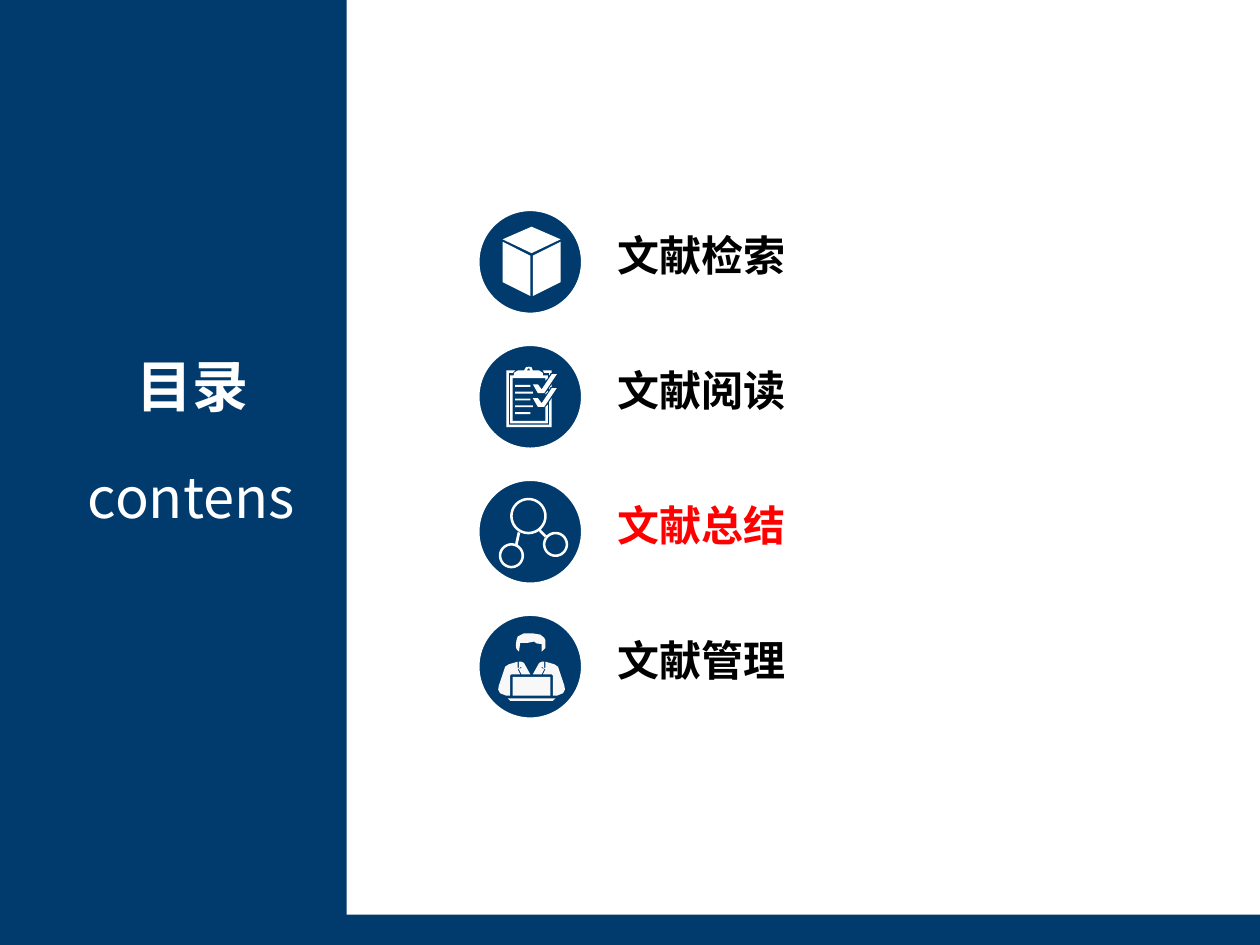
from math import cos, sin, tau

from lxml.etree import SubElement
from pptx import Presentation
from pptx.dml.color import RGBColor as Rgb
from pptx.enum.shapes import MSO_SHAPE as Kind
from pptx.enum.text import MSO_AUTO_SIZE as Fit, PP_ALIGN as Align
from pptx.oxml.ns import qn
from pptx.util import Cm, Pt

THEME = {
    "font": "Noto Sans CJK SC",
    "navy": "013B6D", "white": "FFFFFF", "pale": "F8F8F8",
    "black": "000000", "red": "FF0000",
    "head": 32, "item": 24, "line": 1,
}


def bar(left, top, right, low):
    """Return the corners of a rectangle."""
    return [(left, top), (right, top), (right, low), (left, low)]


def ring(x, y, size, count=48):
    """Return the points of a circle."""
    turns = [tau * n / count for n in range(count)]
    return [(x + size * cos(t), y + size * sin(t)) for t in turns]


def flip(part):
    """Mirror an outline across the middle of the badge."""
    return [(84 - x, y) for x, y in part]


def drop(part, step):
    """Move an outline down."""
    return [(x, y + step) for x, y in part]


SIDE = [(41, 36), (19, 25), (19, 57), (41, 68)]
CUBE = [SIDE, flip(SIDE), [(42, 13), (19, 23), (42, 34), (65, 23)]]

TICK = [(62, 23), (52, 38), (47, 38), (43, 31), (47, 31), (50, 35), (58, 23)]
BOARD = [bar(29, 31.5 + 5.4 * n, 43 if n % 2 else 41, 33 + 5.4 * n)
         for n in range(5)] + [
    [(56, 63), (24, 63), (24, 22), (27, 22), (29, 20), (22, 20), (22, 65),
     (58, 65), (58, 42), (56, 45)],
    [(53, 60), (27, 60), (27, 26), (53, 26), (53, 28), (55, 26), (55, 24),
     (25, 24), (25, 62), (55, 62), (55, 47), (53, 49)],
    [(28, 22), (31, 20), (36, 20), (37.5, 17.5), (40, 17), (42, 17.5),
     (43, 20), (48, 20), (51, 22), (51, 24), (28, 24)],
    [(38, 20), (40, 18), (41, 20)],
    [(57, 22), (58, 22), (58, 20), (51, 20), (52, 22), (56, 22), (56, 24)],
    [(56, 35), (57, 33), (58, 33), (58, 31), (56, 34)],
    [(55, 36), (53, 38), (53, 39), (55, 37)],
    TICK, drop(TICK, 11),
]

NODES = [(39.5, 28.5, 14.5), (26, 60, 10), (61, 51, 10)]
WEB = [ring(x, y, size - gap) for x, y, size in NODES for gap in (0, 2)] + [
    [(31, 41), (33, 42), (31, 51), (29, 50)],
    [(49, 39), (54, 44), (53, 46), (48, 41)],
]

ARM = [(25, 64), (22, 64), (17, 62), (15.5, 59), (16, 56), (20, 44), (21, 41),
       (24, 39), (31, 37), (31, 42), (33, 42), (31, 43), (33, 47), (26, 47),
       (25, 48)]
LAPEL = [(32, 37), (32, 42), (34, 41), (34, 42), (32, 43), (34, 47), (41, 47),
         (36, 38), (34, 37)]
HAIR = [(32, 29), (33, 22), (39, 22), (44, 21), (46, 22.5), (50, 23), (50, 29),
        (53, 26), (53, 20), (52, 18), (49, 15.5), (43, 14.5), (36, 14.5),
        (31, 17), (30, 20), (29.5, 24), (30, 27)]
USER = [ARM, flip(ARM), LAPEL, flip(LAPEL), HAIR, bar(27, 49, 57, 64),
        [(23, 66), (61, 66), (59, 68), (25, 68)]]

ITEMS = [
    ("文献检索", CUBE, "white", "black"),
    ("文献阅读", BOARD, "white", "black"),
    ("文献总结", WEB, "white", "red"),
    ("文献管理", USER, "pale", "black"),
]
HEADS = [
    ("目录", (2.49, 6.96, 2.77, 1.63), True),
    ("contens", (1.5, 9.19, 4.72, 1.63), False),
]
BANDS = [(2.36, 18.44, 23.04, 0.61), (0, 0, 6.99, 19.05)]
LEFT, TOP, STEP, DISC = 9.65, 4.24, 2.72, 2.08
WORD = (12.19, 0.26, 3.89, 1.27)
GRID = 0.0254


def paint(shape, tone, edge=None):
    """Fill a shape and set its outline."""
    shape.shadow.inherit = False
    shape.fill.solid()
    shape.fill.fore_color.rgb = Rgb.from_string(THEME[tone])
    if edge:
        shape.line.color.rgb = Rgb.from_string(THEME[edge])
        shape.line.width = Pt(THEME["line"])
    else:
        shape.line.fill.background()


def write(slide, text, place, size, tone, bold, align):
    """Add a one-line text box."""
    frame = slide.shapes.add_textbox(*map(Cm, place)).text_frame
    frame.text = text
    frame.word_wrap = False
    frame.auto_size = Fit.SHAPE_TO_FIT_TEXT
    para = frame.paragraphs[0]
    para.alignment = align
    font = para.runs[0].font
    font.size, font.bold, font.name = Pt(THEME[size]), bold, THEME["font"]
    font.color.rgb = Rgb.from_string(THEME[tone])
    props = para.runs[0]._r.get_or_add_rPr()
    SubElement(props, qn("a:ea"), typeface=THEME["font"])


def draw(slide, parts, top, tone):
    """Draw an icon as one outline."""
    pen = None
    for part in parts:
        first, *rest = [(Cm(LEFT + x * GRID), Cm(top + y * GRID))
                        for x, y in part]
        if pen is None:
            pen = slide.shapes.build_freeform(*first)
        else:
            pen.move_to(*first)
        pen.add_line_segments(rest, close=True)
    paint(pen.convert_to_shape(), tone)


def main():
    """Build the contents slide."""
    deck = Presentation()
    deck.slide_width, deck.slide_height = Cm(25.4), Cm(19.05)
    slide = deck.slides.add_slide(deck.slide_layouts[6])
    for place in BANDS:
        paint(slide.shapes.add_shape(Kind.RECTANGLE, *map(Cm, place)), "navy")
    for text, place, bold in HEADS:
        write(slide, text, place, "head", "white", bold, Align.CENTER)
    left, down, width, height = WORD
    for row, (text, icon, fill, tone) in enumerate(ITEMS):
        top = TOP + row * STEP
        spot = map(Cm, (LEFT, top, DISC, DISC))
        paint(slide.shapes.add_shape(Kind.OVAL, *spot), "navy", "white")
        draw(slide, icon, top, fill)
        place = (left, top + down, width, height)
        write(slide, text, place, "item", tone, True, Align.LEFT)
    deck.save("out.pptx")


if __name__ == "__main__":
    main()
